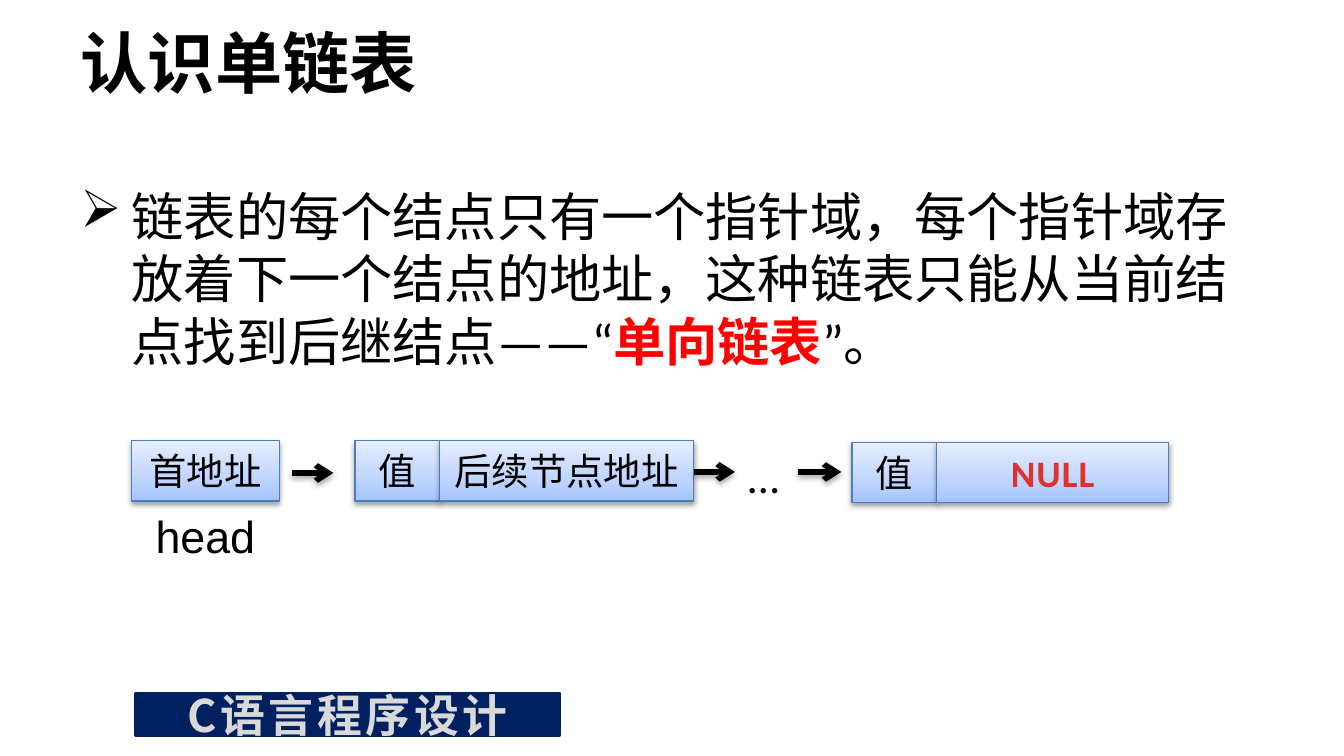
"""Slide introducing the singly linked list."""
from dataclasses import dataclass
from typing import Any, Optional

import lxml.etree
import pptx
import pptx.dml.color
import pptx.enum.lang
import pptx.enum.shapes
import pptx.enum.text
import pptx.oxml
import pptx.oxml.ns
import pptx.util

Cm = pptx.util.Cm
Pt = pptx.util.Pt
ALIGN = pptx.enum.text.PP_ALIGN
ANCHOR = pptx.enum.text.MSO_ANCHOR


@dataclass(frozen=True)
class Theme:
    font: str = "Calibri"
    head_font: str = "Arial"
    banner_font: str = "Noto Sans CJK SC"
    title_size: float = 36
    body_size: float = 28
    label_size: float = 24
    cell_size: float = 20
    black: str = "000000"
    emphasis: str = "FF0000"
    null: str = "E0322D"
    cell_line: str = "4B7EBC"
    cell_stops: tuple = ((0, "A4C4FF"), (35, "BFD4FF"), (100, "E6EEFF"))
    banner: str = "002060"
    banner_text: str = "D9D9D9"


THEME = Theme()


@dataclass(frozen=True)
class Box:
    """Position and size in centimetres."""
    left: float
    top: float
    width: float
    height: float

    def emu(self) -> tuple:
        return Cm(self.left), Cm(self.top), Cm(self.width), Cm(self.height)


@dataclass(frozen=True)
class Cell:
    text: str
    width: float
    color: str = THEME.black
    bold: bool = False
    spacing: float = 0


@dataclass(frozen=True)
class Node:
    left: float
    top: float
    cells: tuple


@dataclass(frozen=True)
class Arrow:
    start: float
    end: float
    y: float


CELL_HEIGHT = 1.14
NODES = (
    Node(2.49, 8.33, (Cell("首地址", 2.79),)),
    Node(6.71, 8.33, (Cell("值", 1.6), Cell("后续节点地址", 4.8))),
    Node(16.1, 8.36, (Cell("值", 1.6), Cell("NULL", 4.39, THEME.null, True, 0.5))),
)
ARROWS = (Arrow(5.51, 6.3, 8.94), Arrow(13.11, 13.89, 8.92), Arrow(15.09, 15.9, 8.92))


def rgb(color: str) -> pptx.dml.color.RGBColor:
    return pptx.dml.color.RGBColor.from_string(color)


def drawing_xml(body: str) -> Any:
    """Parse one DrawingML element whose tag carries the a: prefix."""
    tag, rest = body.split(" ", 1)
    return pptx.oxml.parse_xml(f'{tag} {pptx.oxml.ns.nsdecls("a")} {rest}')


def add_text(paragraph: Any, text: str, *, size: float, color: str = THEME.black,
             font: str = THEME.font, bold: bool = False, spacing: float = 0,
             align: Optional[ALIGN] = None) -> None:
    if align is not None:
        paragraph.alignment = align
    run = paragraph.add_run()
    run.text = text
    run.font.name = font
    run.font.size = Pt(size)
    run.font.bold = bold
    run.font.color.rgb = rgb(color)
    run.font.language_id = pptx.enum.lang.MSO_LANGUAGE_ID.SIMPLIFIED_CHINESE
    properties = run.font._element
    properties.find(pptx.oxml.ns.qn("a:latin")).addnext(
        drawing_xml(f'<a:ea typeface="{font}"/>'))
    if spacing:
        properties.set("spc", str(round(spacing * 100)))


def add_shadow(shape: Any, opacity: int, distance: float) -> None:
    """Soft black shadow straight below a shape or connector."""
    properties = shape._element.spPr
    for effects in properties.findall(pptx.oxml.ns.qn("a:effectLst")):
        properties.remove(effects)
    properties.append(drawing_xml(
        f'<a:effectLst ><a:outerShdw blurRad="{Pt(3.1)}" dist="{Pt(distance)}" '
        f'dir="5400000" rotWithShape="0"><a:srgbClr val="{THEME.black}">'
        f'<a:alpha val="{opacity * 1000}"/></a:srgbClr></a:outerShdw></a:effectLst>'))


def add_rectangle(slide: Any, box: Box, line: str, line_width: float) -> Any:
    shape = slide.shapes.add_shape(pptx.enum.shapes.MSO_SHAPE.RECTANGLE, *box.emu())
    shape.shadow.inherit = False
    shape.line.color.rgb = rgb(line)
    shape.line.width = Pt(line_width)
    frame = shape.text_frame
    frame.margin_left = frame.margin_right = frame.margin_top = frame.margin_bottom = 0
    frame.vertical_anchor = ANCHOR.MIDDLE
    frame.word_wrap = False
    return shape


def add_text_box(slide: Any, box: Box) -> Any:
    frame = slide.shapes.add_textbox(*box.emu()).text_frame
    frame.word_wrap = True
    return frame.paragraphs[0]


def add_node(slide: Any, node: Node) -> None:
    left = node.left
    stops = "".join(f'<a:gs pos="{position * 1000}"><a:srgbClr val="{color}"/></a:gs>'
                    for position, color in THEME.cell_stops)
    for cell in node.cells:
        box = Box(left, node.top, cell.width, CELL_HEIGHT)
        shape = add_rectangle(slide, box, THEME.cell_line, 0.75)
        shape._element.spPr.find(pptx.oxml.ns.qn("a:ln")).addprevious(drawing_xml(
            f'<a:gradFill rotWithShape="1"><a:gsLst>{stops}</a:gsLst>'
            '<a:lin ang="16200000" scaled="0"/></a:gradFill>'))
        add_shadow(shape, 38, 1.6)
        add_text(shape.text_frame.paragraphs[0], cell.text, size=THEME.cell_size,
                 color=cell.color, bold=cell.bold, spacing=cell.spacing,
                 align=ALIGN.CENTER)
        left += cell.width


def add_arrow(slide: Any, arrow: Arrow) -> None:
    connector = slide.shapes.add_connector(
        pptx.enum.shapes.MSO_CONNECTOR.STRAIGHT,
        Cm(arrow.start), Cm(arrow.y), Cm(arrow.end), Cm(arrow.y))
    connector.line.color.rgb = rgb(THEME.black)
    connector.line.width = Pt(3)
    connector.line._ln.append(drawing_xml('<a:tailEnd type="arrow"/>'))
    add_shadow(connector, 35, 1.8)


def main() -> None:
    presentation = pptx.Presentation()
    presentation.slide_width, presentation.slide_height = Cm(25.4), Cm(14.29)
    slide = presentation.slides.add_slide(presentation.slide_layouts[5])

    # Course banner
    banner = add_rectangle(slide, Box(2.57, 13.11, 8, 0.79), THEME.banner, 2)
    banner.fill.solid()
    banner.fill.fore_color.rgb = rgb(THEME.banner)
    add_text(banner.text_frame.paragraphs[0], "C语言程序设计", size=THEME.label_size,
             color=THEME.banner_text, font=THEME.banner_font, bold=True, spacing=2,
             align=ALIGN.CENTER)

    # Title
    title = slide.shapes.title
    title.left, title.top, title.width, title.height = Box(1.27, 0.36, 22.86, 1.6).emu()
    title.text_frame.vertical_anchor = ANCHOR.MIDDLE
    add_text(title.text_frame.paragraphs[0], "认识单链表", size=THEME.title_size,
             bold=True, align=ALIGN.LEFT)

    # Definition
    definition = add_text_box(slide, Box(1.27, 3.35, 22.83, 3.99))
    properties = definition._p.get_or_add_pPr()
    properties.set("marL", str(Cm(0.97)))
    properties.set("indent", str(-Cm(0.97)))
    properties.append(drawing_xml('<a:buChar char="➢"/>'))
    add_text(definition, "链表的每个结点只有一个指针域，每个指针域存放着下一个结点的地址，"
             "这种链表只能从当前结点找到后继结点——“", size=THEME.body_size)
    add_text(definition, "单向链表", size=THEME.body_size, color=THEME.emphasis, bold=True)
    add_text(definition, "”。", size=THEME.body_size)

    # Linked list diagram
    for node in NODES:
        add_node(slide, node)
    for arrow in ARROWS:
        add_arrow(slide, arrow)
    add_text(add_text_box(slide, Box(2.69, 9.5, 2.41, 1.3)), "head",
             size=THEME.label_size, font=THEME.head_font)
    add_text(add_text_box(slide, Box(13.89, 8.36, 1.19, 1.27)), "…", size=THEME.label_size)

    presentation.save("out.pptx")


if __name__ == "__main__":
    main()
